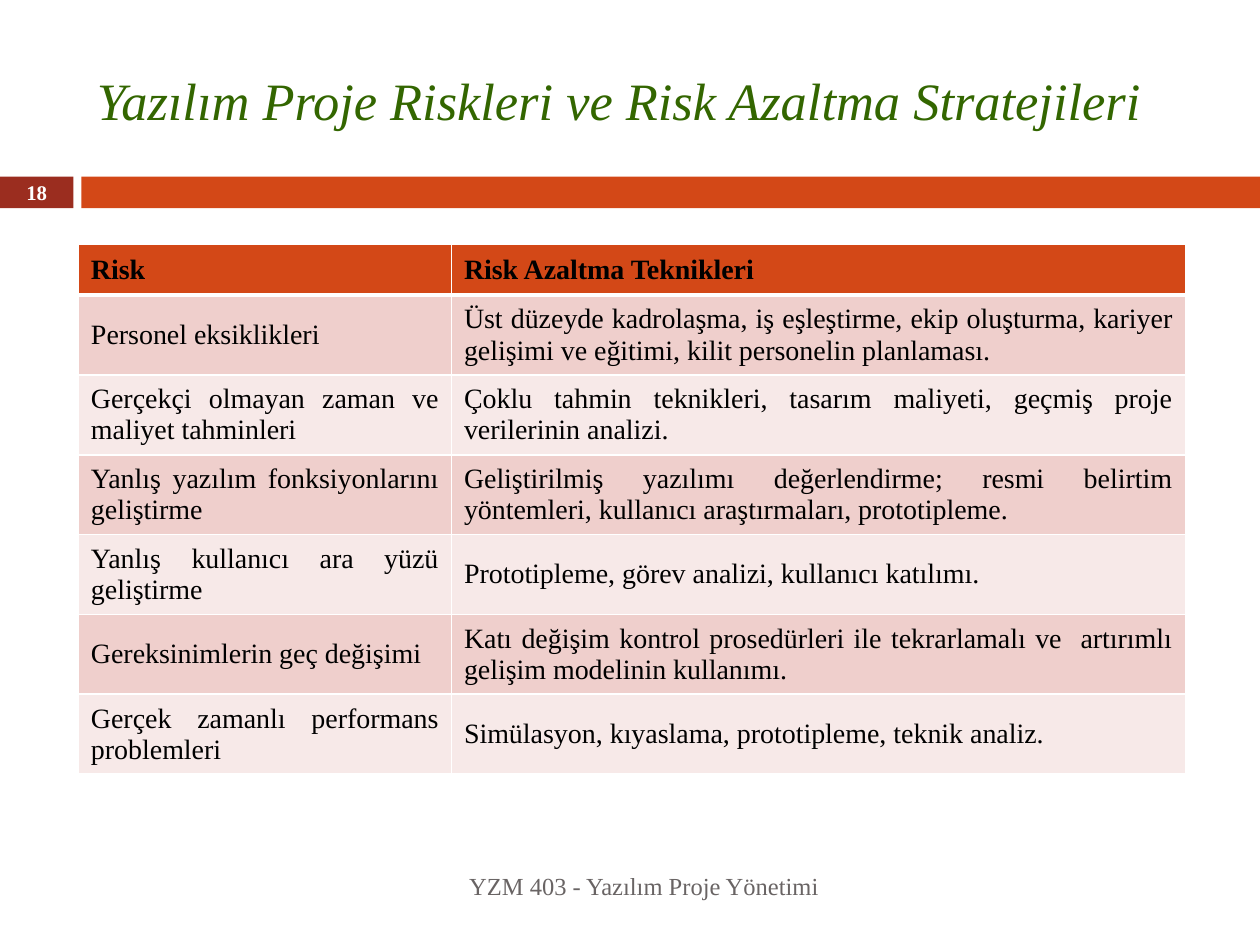
from lxml import etree
from pptx import Presentation
from pptx.dml.color import RGBColor
from pptx.enum.shapes import MSO_SHAPE
from pptx.enum.text import MSO_ANCHOR, PP_ALIGN
from pptx.oxml.ns import qn
from pptx.util import Cm, Pt

RECTANGLE = MSO_SHAPE.RECTANGLE
MIDDLE = MSO_ANCHOR.MIDDLE
LEFT, CENTER = PP_ALIGN.LEFT, PP_ALIGN.CENTER
RIGHT, JUSTIFY = PP_ALIGN.RIGHT, PP_ALIGN.JUSTIFY

FONT = "Times New Roman"
COLORS = {
    "title": "336600",
    "accent": "D34817",
    "number": "9B2D1F",
    "odd_row": "EFCFCC",
    "even_row": "F7E9E8",
    "footer": "696464",
    "text": "000000",
    "white": "FFFFFF",
}

HEADER = ("Risk", "Risk Azaltma Teknikleri")
RISKS = [
    ("Personel eksiklikleri",
     "Üst düzeyde kadrolaşma, iş eşleştirme, ekip oluşturma, kariyer gelişimi "
     "ve eğitimi, kilit personelin planlaması."),
    ("Gerçekçi olmayan zaman ve maliyet tahminleri",
     "Çoklu tahmin teknikleri, tasarım maliyeti, geçmiş proje verilerinin analizi."),
    ("Yanlış yazılım fonksiyonlarını geliştirme",
     "Geliştirilmiş yazılımı değerlendirme; resmi belirtim yöntemleri, "
     "kullanıcı araştırmaları, prototipleme."),
    ("Yanlış kullanıcı ara yüzü geliştirme",
     "Prototipleme, görev analizi, kullanıcı katılımı."),
    ("Gereksinimlerin geç değişimi",
     "Katı değişim kontrol prosedürleri ile tekrarlamalı ve  artırımlı gelişim "
     "modelinin kullanımı."),
    ("Gerçek zamanlı performans problemleri",
     "Simülasyon, kıyaslama, prototipleme, teknik analiz."),
]


def color(name):
    return RGBColor.from_string(COLORS[name])


def write(frame, text, size, ink="text", bold=False, italic=False, align=LEFT):
    frame.word_wrap = True
    frame.vertical_anchor = MIDDLE
    para = frame.paragraphs[0]
    para.alignment = align
    span = para.add_run()
    span.text = text
    font = span.font
    font.name, font.size = FONT, Pt(size)
    font.bold, font.italic = bold, italic
    font.color.rgb = color(ink)


def add_text(page, left, top, width, height, text, size, **style):
    box = page.shapes.add_textbox(Cm(left), Cm(top), Cm(width), Cm(height))
    write(box.text_frame, text, size, **style)


def add_bar(page, left, top, width, height, fill):
    bar = page.shapes.add_shape(RECTANGLE, Cm(left), Cm(top), Cm(width), Cm(height))
    bar.shadow.inherit = False
    bar.fill.solid()
    bar.fill.fore_color.rgb = color(fill)
    bar.line.fill.background()


def add_title(page, left, top, width, height):
    title = page.shapes.title
    title.left, title.top = Cm(left), Cm(top)
    title.width, title.height = Cm(width), Cm(height)
    write(title.text_frame, "Yazılım Proje Riskleri ve Risk Azaltma Stratejileri",
          30, ink="title", italic=True)


def add_number_band(page, left, top, width, height):
    number_width, gap = 1.48, 0.16
    bar_left = number_width + gap
    add_bar(page, left, top, number_width, height, "number")
    add_bar(page, left + bar_left, top, width - bar_left, height, "accent")
    add_text(page, left, top, number_width, height, "18", 11.9,
             ink="white", bold=True, align=CENTER)


def set_borders(cell, top=1, bottom=1):
    """Draw white cell borders; widths are in points."""
    properties = cell._tc.get_or_add_tcPr()
    for side, width in (("L", 1), ("R", 1), ("T", top), ("B", bottom)):
        line = etree.SubElement(properties, qn(f"a:ln{side}"), w=str(Pt(width)))
        fill = etree.SubElement(line, qn("a:solidFill"))
        etree.SubElement(fill, qn("a:srgbClr"), val=COLORS["white"])


def add_risk_table(page, left, top, column_widths, header_height, row_height):
    rows = [HEADER, *RISKS]
    frame = page.shapes.add_table(
        len(rows), len(HEADER), Cm(left), Cm(top), Cm(sum(column_widths)),
        Cm(header_height + row_height * len(RISKS)))
    table = frame.table
    for column, width in zip(table.columns, column_widths):
        column.width = Cm(width)
    for index, texts in enumerate(rows):
        is_header = index == 0
        table.rows[index].height = Cm(header_height if is_header else row_height)
        fill = "accent" if is_header else "odd_row" if index % 2 else "even_row"
        for cell, text in zip(table.rows[index].cells, texts):
            set_borders(cell, top=3 if index == 1 else 1, bottom=3 if is_header else 1)
            cell.fill.solid()
            cell.fill.fore_color.rgb = color(fill)
            cell.vertical_anchor = MIDDLE
            write(cell.text_frame, text, 16, bold=is_header,
                  align=LEFT if is_header else JUSTIFY)


def main():
    deck = Presentation()
    deck.slide_width, deck.slide_height = Cm(25.4), Cm(19.05)
    page = deck.slides.add_slide(deck.slide_layouts[5])
    add_number_band(page, 0, 3.56, 25.4, 0.64)
    add_title(page, 1.7, 0.64, 22.66, 2.74)
    add_text(page, 1.7, 17.35, 15.06, 1.02, "YZM 403 - Yazılım Proje Yönetimi", 14,
             ink="footer", align=RIGHT)
    add_risk_table(page, 1.58, 4.92, (7.52, 14.8), 1.03, 1.5)
    deck.save("out.pptx")


if __name__ == "__main__":
    main()
